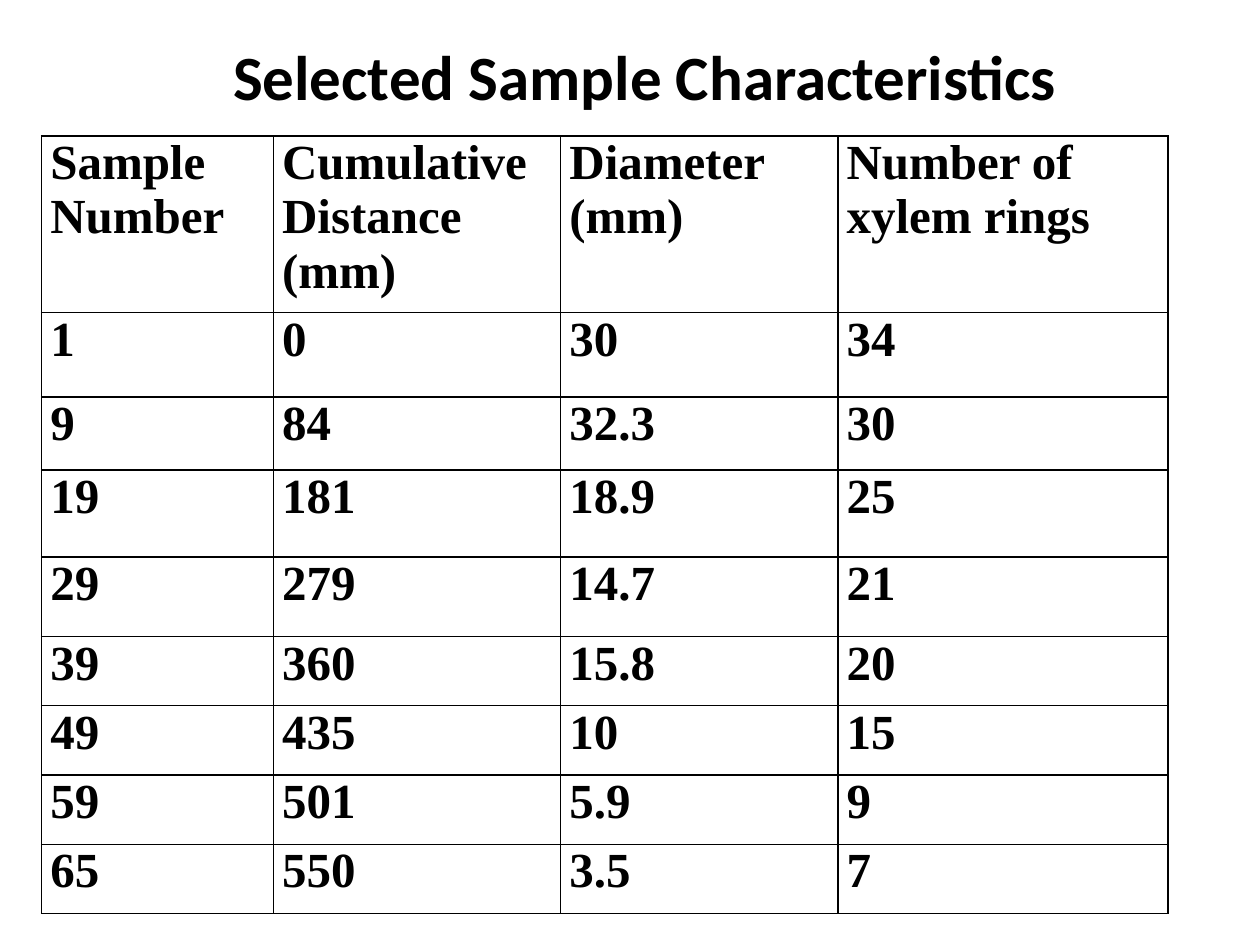
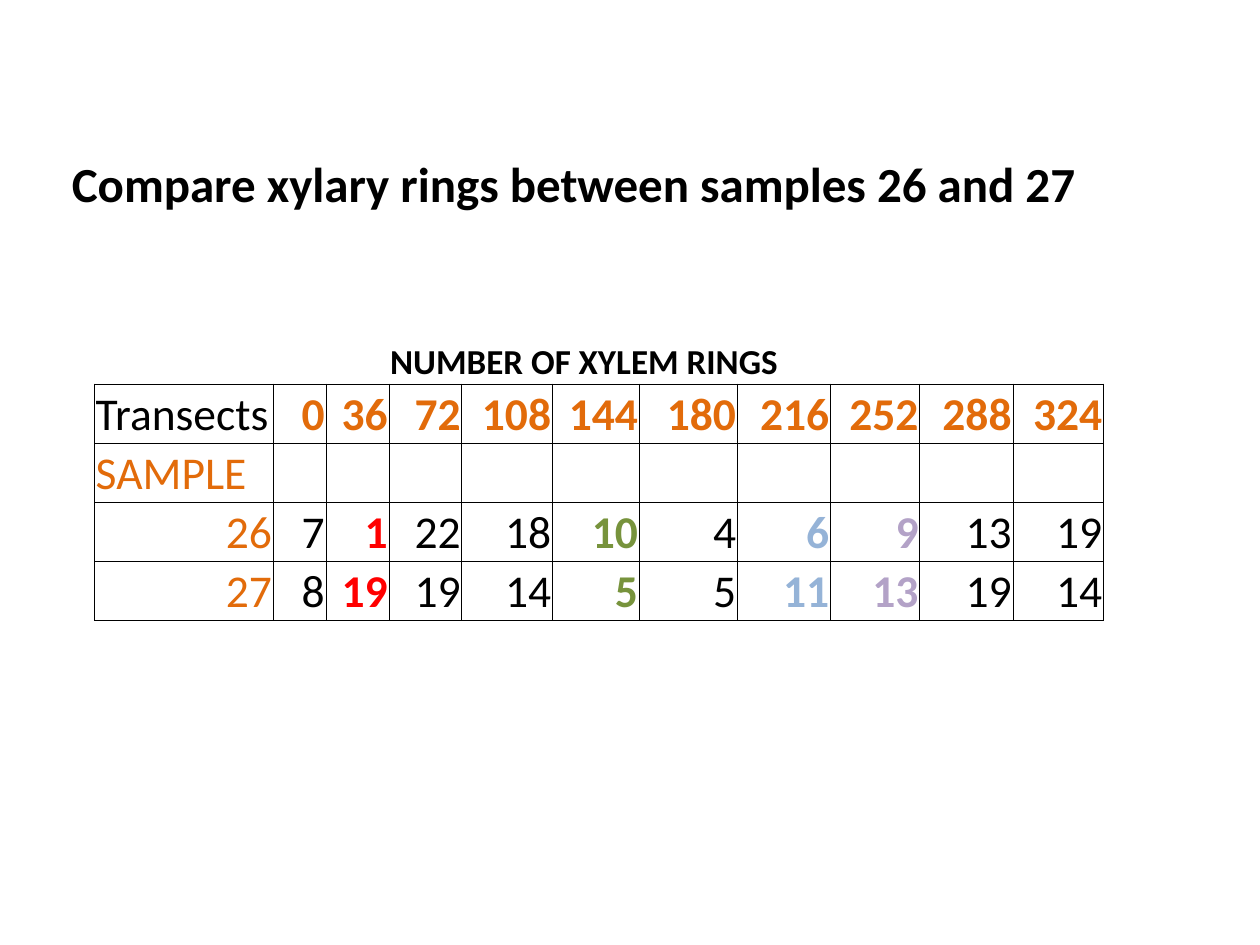
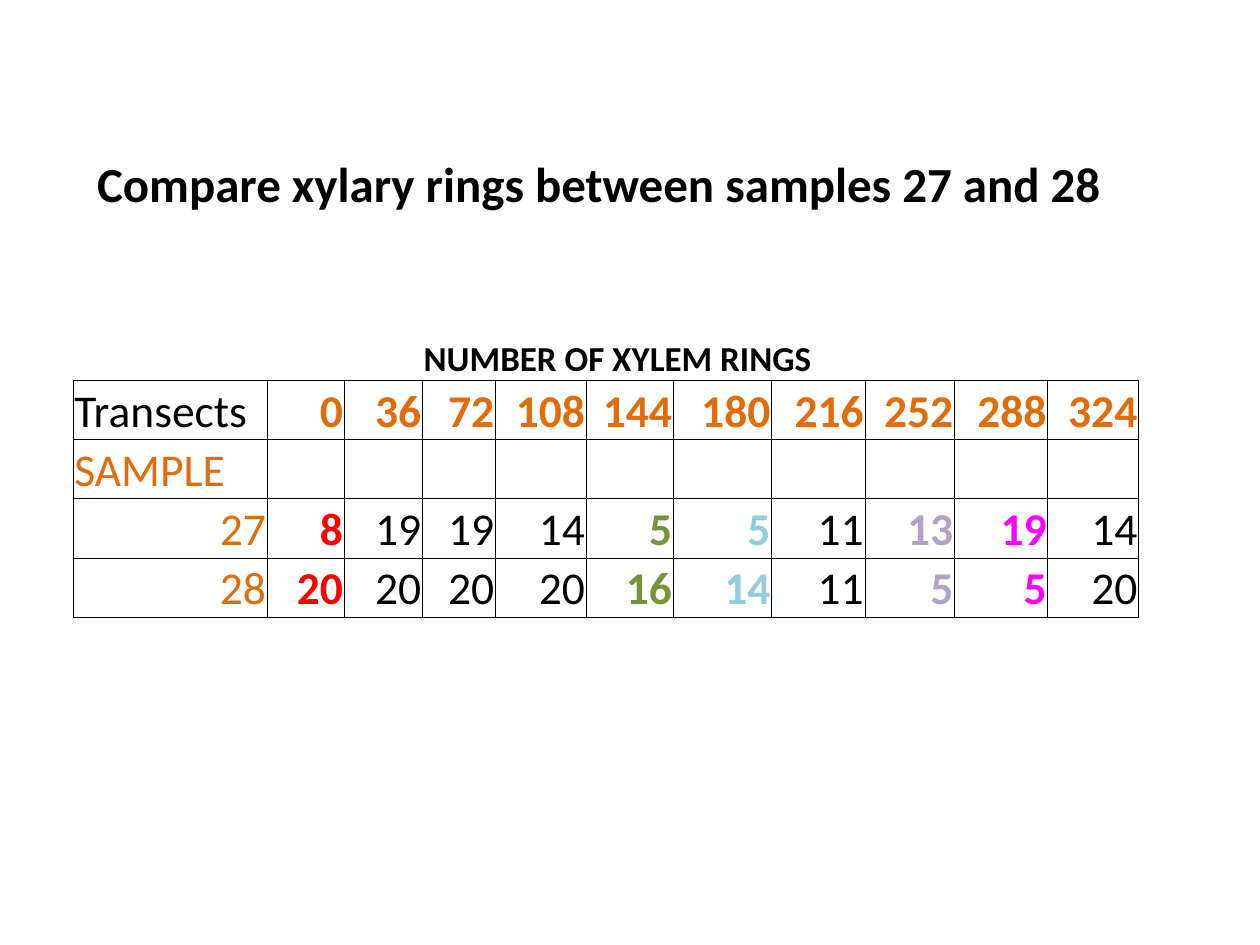
from dataclasses import dataclass

from lxml.etree import SubElement as Sub
from pptx import Presentation
from pptx.dml.color import RGBColor as Rgb
from pptx.enum.text import MSO_ANCHOR as Anchor, MSO_AUTO_SIZE as Fit, PP_ALIGN as Align
from pptx.oxml.ns import qn
from pptx.util import Inches, Pt


@dataclass(frozen=True)
class Theme:
    sans: str = "Calibri"
    serif: str = "Times New Roman"
    black: str = "000000"
    orange: str = "E26B0A"
    red: str = "FF0000"
    green: str = "77933C"
    blue: str = "95B3D7"
    aqua: str = "93CDDD"
    violet: str = "B3A2C7"
    pink: str = "FF00FF"
    head: int = 36
    text: int = 28
    ring: int = 26
    note: int = 20
    thick: float = 1
    thin: float = 0.5


@dataclass(frozen=True)
class Box:
    left: float
    top: float
    width: float
    height: float


THEME = Theme()
WIDE, HIGH = Inches(10), Inches(7.5)
UNIT = WIDE / 100
SIDES = "LRTB"
ANGLES = list(range(0, 360, 36))
CAPTION = "NUMBER OF XYLEM RINGS"

SAMPLES = [
    ("Sample\nNumber", "Cumulative Distance (mm)", "Diameter (mm)", "Number of xylem rings"),
    (1, 0, 30, 34),
    (9, 84, 32.3, 30),
    (19, 181, 18.9, 25),
    (29, 279, 14.7, 21),
    (39, 360, 15.8, 20),
    (49, 435, 10, 15),
    (59, 501, 5.9, 9),
    (65, 550, 3.5, 7),
]

RINGS = {
    26: [7, 1, 22, 18, 10, 4, 6, 9, 13, 19],
    27: [8, 19, 19, 14, 5, 5, 11, 13, 19, 14],
    28: [20, 20, 20, 20, 16, 14, 11, 5, 5, 20],
}


def grid(count):
    return round(count * UNIT)


def style(frame, size, face=THEME.sans, tint=THEME.black, bold=True, align=Align.LEFT):
    for para in frame.paragraphs:
        para.alignment = align
        for run in para.runs:
            font = run.font
            font.name, font.size, font.bold = face, Pt(size), bold
            font.color.rgb = Rgb.from_string(tint)


def add_page(deck, text, box, size=THEME.text, wrap=True):
    page = deck.slides.add_slide(deck.slide_layouts[5])
    title = page.shapes.title
    title.left, title.top = grid(box.left), grid(box.top)
    title.width, title.height = grid(box.width), grid(box.height)
    frame = title.text_frame
    frame.text = text
    frame.word_wrap, frame.auto_size = wrap, Fit.SHAPE_TO_FIT_TEXT
    frame.vertical_anchor = Anchor.TOP
    style(frame, size)
    return page


def add_grid(page, box, cols, rows):
    shape = page.shapes.add_table(
        len(rows), len(cols), grid(box.left), grid(box.top), grid(box.width), grid(box.height)
    )
    table = shape.table
    table.first_row = table.horz_banding = False
    for col, share in zip(table.columns, cols):
        col.width = grid(box.width * share / sum(cols))
    for row, share in zip(table.rows, rows):
        row.height = grid(box.height * share / sum(rows))
    return table


def frame_cell(cell, width, edges, pads, anchor):
    props = cell._tc.get_or_add_tcPr()
    for side in SIDES:
        line = Sub(props, qn(f"a:ln{side}"), w=str(Pt(width)))
        if side in edges:
            fill = Sub(line, qn("a:solidFill"))
            Sub(fill, qn("a:srgbClr"), val=THEME.black)
        else:
            Sub(line, qn("a:noFill"))
    cell.fill.background()
    cell.margin_left = cell.margin_right = grid(pads[0])
    cell.margin_top, cell.margin_bottom = grid(pads[1]), 0
    cell.vertical_anchor = anchor


def sample_table(page, box):
    table = add_grid(
        page, box, [1.84, 2.28, 2.2, 2.62],
        [1.4, 0.67, 0.58, 0.69, 0.63, 0.55, 0.55, 0.55, 0.55],
    )
    for r, row in enumerate(SAMPLES):
        for c, value in enumerate(row):
            cell = table.cell(r, c)
            frame_cell(cell, THEME.thick, SIDES, (0.7, 0), Anchor.TOP)
            cell.text_frame.text = str(value)
            style(cell.text_frame, THEME.text, THEME.serif)


def ring_table(page, box, cols, rows, pair, marks):
    table = add_grid(page, box, cols, rows)
    last = 2 + len(pair)
    for r in range(len(rows)):
        edges = "B" if r == 0 else SIDES if r <= last else "T"
        for c in range(len(cols)):
            frame_cell(table.cell(r, c), THEME.thin, edges, (0.1, 0.1), Anchor.BOTTOM)

    def put(r, c, value, **look):
        frame = table.cell(r, c).text_frame
        frame.text = str(value)
        style(frame, **{"size": THEME.ring, **look})

    table.cell(0, 3).merge(table.cell(0, 8))
    put(0, 3, CAPTION, size=THEME.note)
    put(1, 0, "Transects", bold=False)
    put(2, 0, "SAMPLE", tint=THEME.orange, bold=False)
    for c, angle in enumerate(ANGLES, 1):
        put(1, c, angle, tint=THEME.orange, align=Align.RIGHT)
    for r, name in enumerate(pair, 3):
        put(r, 0, name, tint=THEME.orange, bold=False, align=Align.RIGHT)
        for c, (angle, count) in enumerate(zip(ANGLES, RINGS[name]), 1):
            tint = marks.get(angle, THEME.black)
            put(r, c, count, tint=tint, bold=angle in marks, align=Align.RIGHT)


def ring_page(deck, head, box, lead, rows, pair, marks):
    page = add_page(deck, "Compare xylary rings between samples {} and {}".format(*pair), head)
    cols = lead + [0.58, 0.72, 0.69, 0.78, 0.74, 0.71, 0.74, 0.72]
    ring_table(page, box, cols, rows, pair, marks)


def main():
    deck = Presentation()
    deck.slide_width, deck.slide_height = WIDE, HIGH

    page = add_page(
        deck, "Selected Sample Characteristics", Box(17.5, 2.5, 68.9, 7.1), THEME.head, False
    )
    sample_table(page, Box(3.3, 10.8, 89.4, 61.7))

    ring_page(
        deck, Box(4.7, 11.7, 86.7, 5.7), Box(7.5, 25.8, 80.1, 28.1),
        [1.42, 0.42, 0.5], [0.47] * 6, (26, 27),
        {36: THEME.red, 144: THEME.green, 216: THEME.blue, 252: THEME.violet},
    )
    ring_page(
        deck, Box(6.7, 11.7, 93.3, 5.7), Box(5.8, 25, 84.6, 24),
        [1.54, 0.61, 0.62], [0.52] + [0.47] * 4, (27, 28),
        {0: THEME.red, 144: THEME.green, 180: THEME.aqua, 252: THEME.violet, 288: THEME.pink},
    )
    deck.save("out.pptx")


if __name__ == "__main__":
    main()
